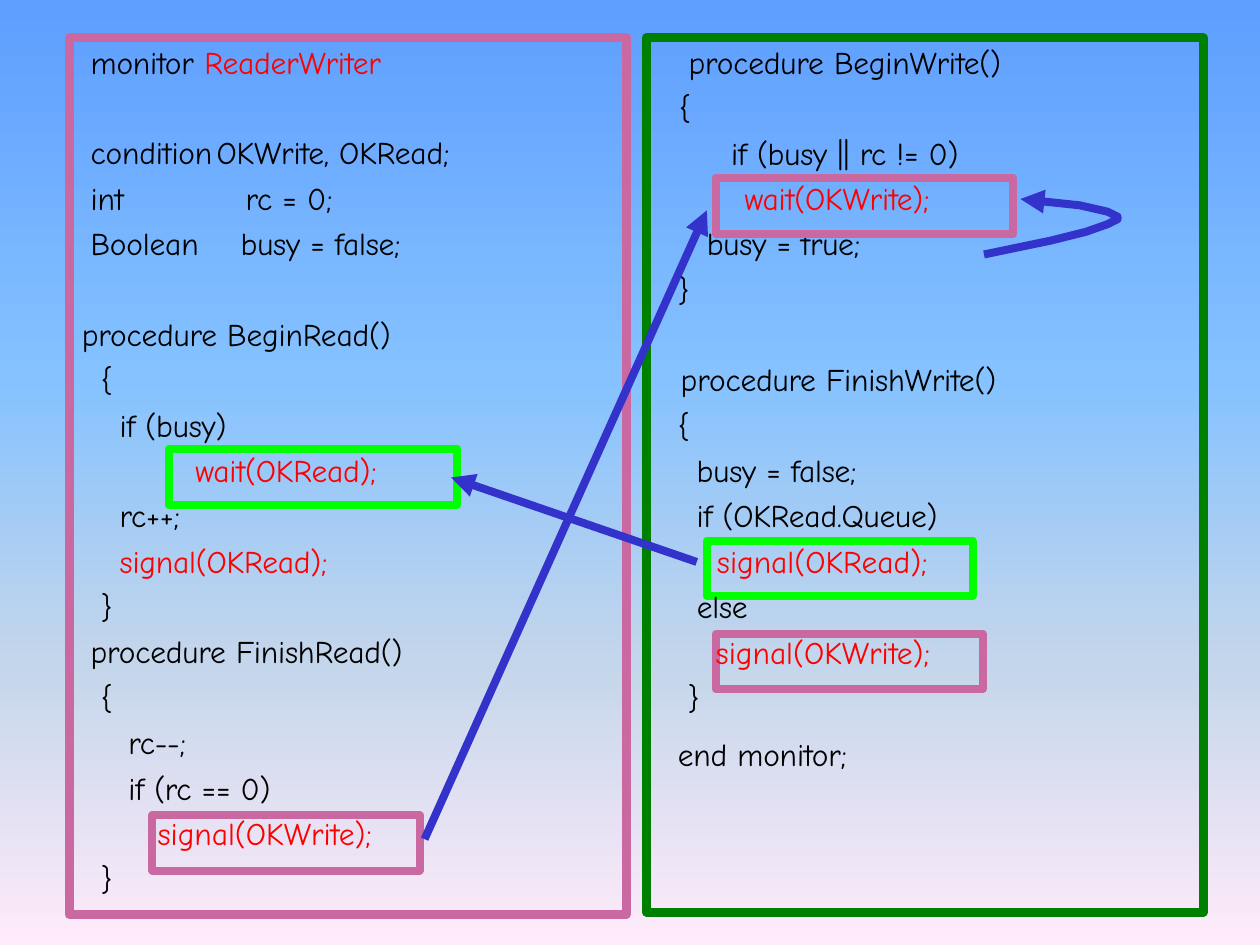
from dataclasses import dataclass

from lxml.etree import SubElement
from pptx import Presentation
from pptx.dml.color import RGBColor
from pptx.enum.shapes import MSO_CONNECTOR, MSO_SHAPE
from pptx.enum.text import MSO_ANCHOR, PP_ALIGN
from pptx.oxml.ns import qn
from pptx.util import Pt

SCALE = 9144
PITCH = 36
FONT = "Comic Neue"
BLACK = RGBColor(0x00, 0x00, 0x00)
RED = RGBColor(0xFF, 0x00, 0x00)
PINK = RGBColor(0xC9, 0x68, 0xA1)
GREEN = RGBColor(0x00, 0x80, 0x00)
LIME = RGBColor(0x00, 0xFF, 0x00)
BLUE = RGBColor(0x33, 0x33, 0xCC)
SKY = ((0, "5E9EFF"), (40, "85C2FF"), (70, "C4D6EB"), (100, "FFEBFA"))


@dataclass(frozen=True)
class Line:
    text: str = ""
    hot: str = ""
    left: int = 1
    mid: bool = False
    tab: int = 0


@dataclass(frozen=True)
class Note:
    x: int
    row: float
    width: int
    lines: tuple[Line, ...]


@dataclass(frozen=True)
class Frame:
    x: int
    y: int
    width: int
    height: int
    color: RGBColor
    weight: float = 4.56
    line: Line | None = None
    top: int = 0
    lead: float | None = None


PANELS = (
    Frame(55, 30, 442, 696, PINK, 5.04),
    Frame(513, 30, 442, 694, GREEN, 5.04),
)
SIGNALS = (
    Frame(121, 647, 212, 44, PINK, line=Line(hot="signal(OKWrite);", left=4), lead=20.8),
    Frame(561, 429, 211, 44, LIME, line=Line(hot="signal(OKRead);", left=8), top=1),
    Frame(568, 503, 212, 44, PINK, line=Line(hot="signal(OKWrite);", left=0), lead=21.4),
)
WAITS = (
    Frame(134, 356, 229, 45, LIME),
    Frame(568, 141, 236, 45, PINK),
)
NOTES = (
    Note(71, 0, 265, (Line("monitor ", "ReaderWriter"),)),
    Note(71, 2, 343, (Line("condition\tOKWrite, OKRead;", tab=122),)),
    Note(71, 3, 91, (Line("int"), Line("Boolean"))),
    Note(190, 3, 149, (Line("rc = 0;", left=5), Line("busy = false;"))),
    Note(64, 6, 267, (
        Line("procedure BeginRead()"),
        Line("{", left=16),
        Line("if (busy)", left=31),
    )),
    Note(154, 9, 169, (Line(hot="wait(OKRead);"),)),
    Note(94, 10, 59, (Line("rc++;"),)),
    Note(94, 11, 186, (Line(hot="signal(OKRead);"),)),
    Note(79, 12, 12, (Line("}"),)),
    Note(71, 13, 273, (
        Line("procedure FinishRead()"),
        Line("{", left=9),
        Line("rc--;", left=31),
        Line("if (rc == 0)", left=31),
    )),
    Note(79, 18, 12, (Line("}"),)),
    Note(530, 0, 281, (
        Line("procedure BeginWrite()", left=0, mid=True),
        Line("{", left=9),
        Line("if (busy || rc != 0)", left=0, mid=True),
    )),
    Note(590, 3, 183, (Line(hot="wait(OKWrite);"),)),
    Note(560, 4, 141, (Line("busy = true;"),)),
    Note(537, 5, 12, (Line("}"),)),
    Note(522, 7, 287, (
        Line("procedure FinishWrite()", left=0, mid=True),
        Line("{", left=16),
        Line("busy = false;", left=31),
        Line("if (OKRead.Queue)", left=31),
    )),
    Note(552, 12, 49, (Line("else"),)),
    Note(545, 14, 12, (Line("}"),)),
    Note(537, 15.25, 149, (Line("end monitor;"),)),
)
ARROWS = ((553, 446, 358, 379), (337, 666, 561, 167))
BEND = (
    (781, 202), (834, 191), (862, 184), (879, 178), (887, 174),
    (887, 172), (879, 168), (857, 163), (810, 158),
)


def px(*sizes: float) -> list[int]:
    return [round(size * SCALE) for size in sizes]


def write(shape, lines: tuple[Line, ...], *, top: int = 1, gap: float = 4.3,
          lead: float | None = None, track: int = 0) -> None:
    frame = shape.text_frame
    frame.word_wrap = True
    frame.vertical_anchor = MSO_ANCHOR.TOP
    frame.margin_left = frame.margin_right = frame.margin_bottom = 0
    frame.margin_top = px(top)[0]
    for index, line in enumerate(lines):
        para = frame.add_paragraph() if index else frame.paragraphs[0]
        para.alignment = PP_ALIGN.CENTER if line.mid else PP_ALIGN.LEFT
        if index:
            para.space_before = Pt(gap)
        if lead:
            para.line_spacing = Pt(lead)
        props = para._p.get_or_add_pPr()
        props.set("marL", str(px(line.left)[0]))
        props.set("indent", "0")
        if line.tab:
            tabs = SubElement(props, qn("a:tabLst"))
            SubElement(tabs, qn("a:tab"), pos=str(px(line.tab)[0]), algn="l")
        for text, color in ((line.text, BLACK), (line.hot, RED)):
            if text:
                run = para.add_run()
                run.text = text
                run.font.name = FONT
                run.font.size = Pt(18)
                run.font.color.rgb = color
                run.font._element.set("spc", str(track))


def draw_note(slide, note: Note) -> None:
    count = len(note.lines)
    start, top = (27, 7) if count > 1 else (33, 1)
    height = 3 + PITCH * count if count > 1 else 33
    box = slide.shapes.add_textbox(
        *px(note.x, start + PITCH * note.row, note.width, height))
    write(box, note.lines, top=top, track=-10)


def draw_frame(slide, frame: Frame) -> None:
    shape = slide.shapes.add_shape(
        MSO_SHAPE.RECTANGLE, *px(frame.x, frame.y, frame.width, frame.height))
    shape.shadow.inherit = False
    shape.fill.background()
    shape.line.color.rgb = frame.color
    shape.line.width = Pt(frame.weight)
    if frame.line:
        write(shape, (frame.line,), top=frame.top, lead=frame.lead)


def point(shape) -> None:
    shape.line.color.rgb = BLUE
    shape.line.width = Pt(4.56)
    props = shape._element.spPr
    SubElement(props.find(qn("a:ln")), qn("a:tailEnd"), type="triangle")
    SubElement(props, qn("a:effectLst"))


def draw_bend(slide, spots: tuple[tuple[int, int], ...]) -> None:
    path = slide.shapes.build_freeform(*spots[0], scale=SCALE)
    path.add_line_segments(spots[1:], close=False)
    shape = path.convert_to_shape()
    shape.fill.background()
    point(shape)


def paint(slide) -> None:
    fill = slide.background.fill
    fill.gradient()
    fill.gradient_angle = 270
    stops = next(slide._element.iter(qn("a:gsLst")))
    for stop in list(stops):
        stops.remove(stop)
    for place, color in SKY:
        stop = SubElement(stops, qn("a:gs"), pos=str(place * 1000))
        SubElement(stop, qn("a:srgbClr"), val=color)


def main() -> None:
    deck = Presentation()
    deck.slide_width, deck.slide_height = px(1000, 750)
    slide = deck.slides.add_slide(deck.slide_layouts[6])
    paint(slide)
    for frame in PANELS + SIGNALS:
        draw_frame(slide, frame)
    for note in NOTES:
        draw_note(slide, note)
    for frame in WAITS:
        draw_frame(slide, frame)
    for ends in ARROWS:
        point(slide.shapes.add_connector(MSO_CONNECTOR.STRAIGHT, *px(*ends)))
    draw_bend(slide, BEND)
    deck.save("out.pptx")


if __name__ == "__main__":
    main()
